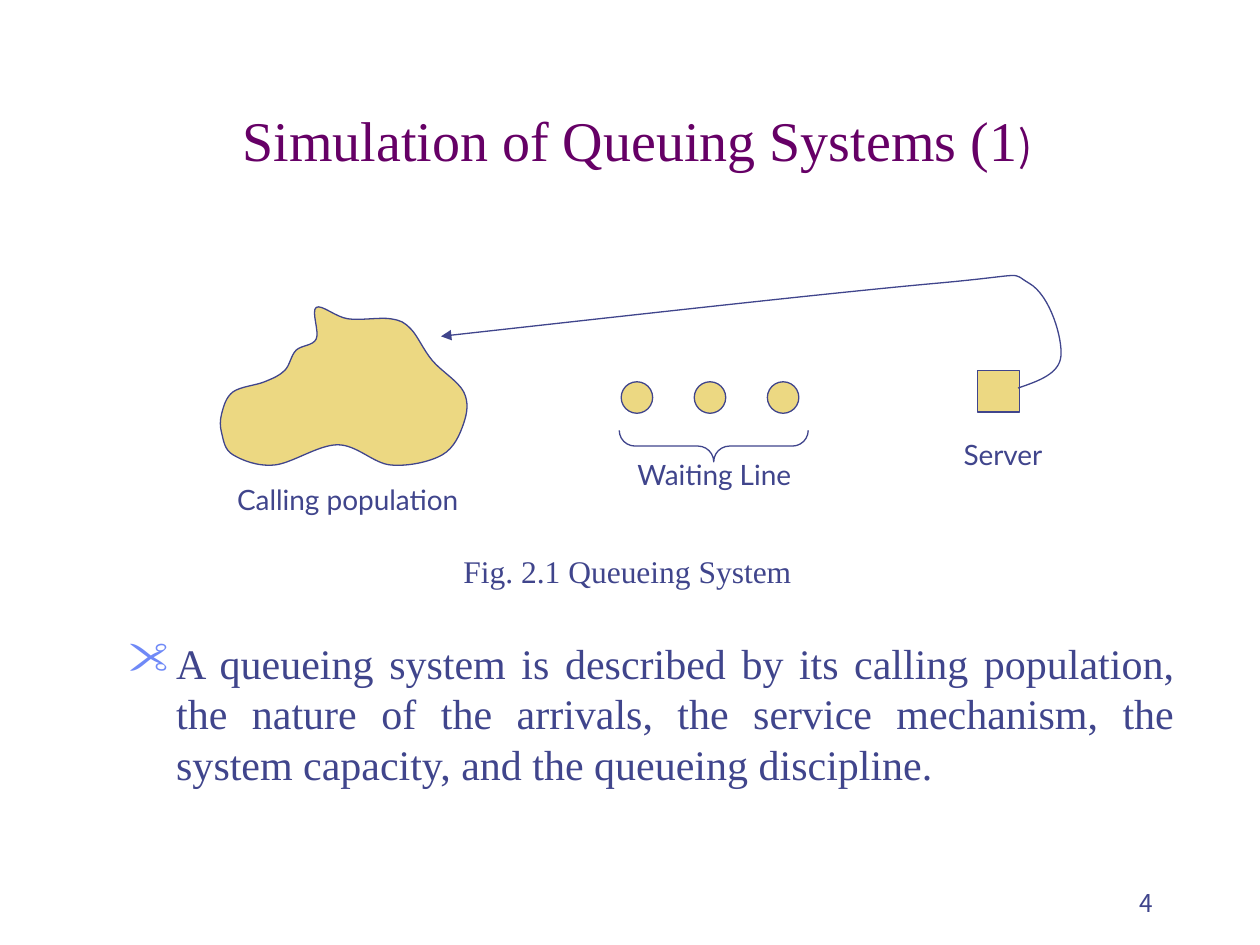
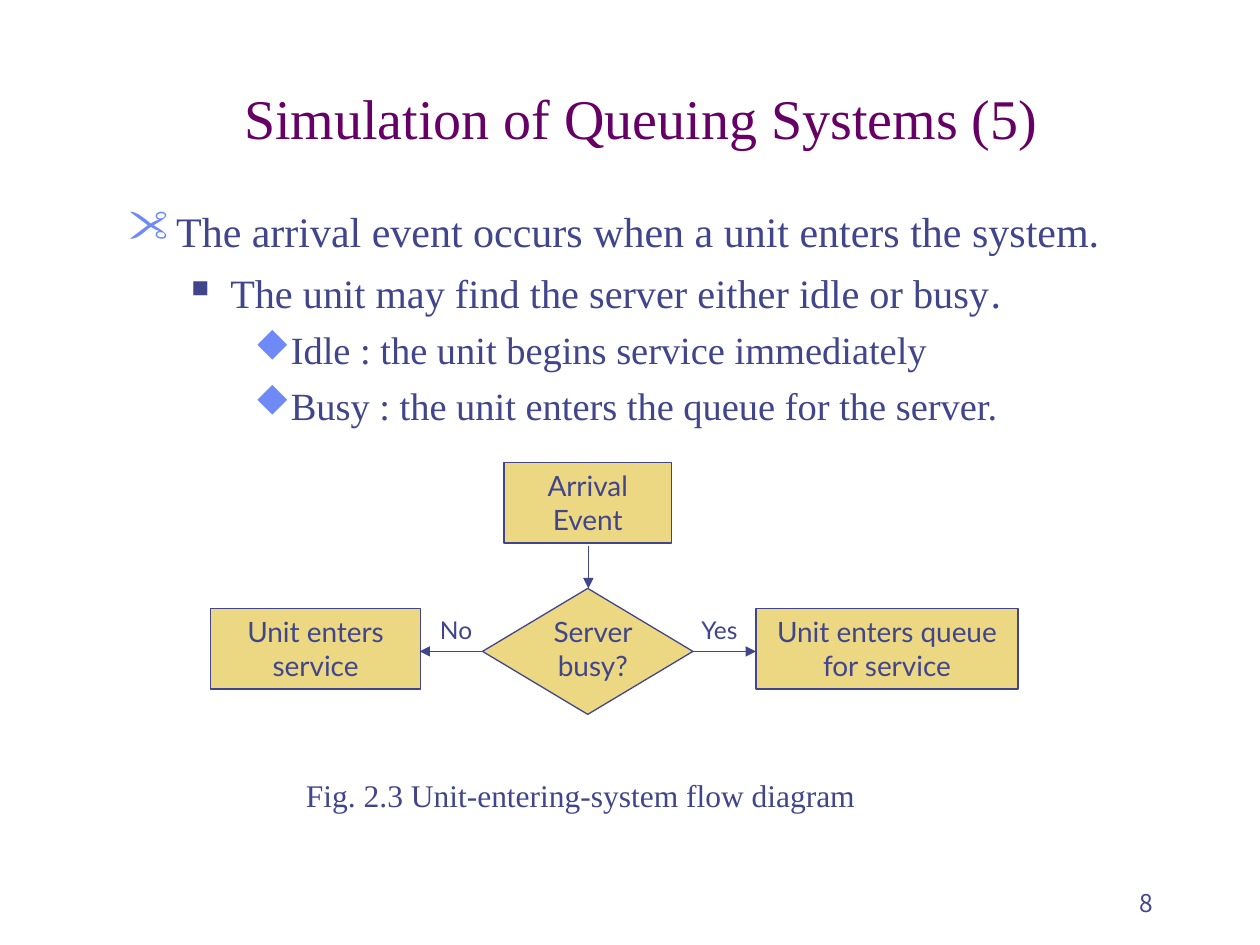
from lxml.etree import SubElement
from pptx import Presentation
from pptx.dml.color import RGBColor
from pptx.enum.shapes import MSO_CONNECTOR, MSO_SHAPE as Shape
from pptx.enum.text import MSO_ANCHOR as Anchor, MSO_AUTO_SIZE as AutoSize, PP_ALIGN as Align
from pptx.oxml.ns import qn
from pptx.util import Inches, Pt

# Shared style
INK = RGBColor(0x40, 0x45, 0x8C)
SAND = RGBColor(0xEC, 0xD8, 0x82)
PURPLE = RGBColor(0x66, 0x00, 0x66)
SKY = RGBColor(0x6F, 0x89, 0xF7)
SERIF, SANS, PLAIN = "Times New Roman", "Lato", "Noto Sans CJK KR"
TITLE_STYLE = dict(size=32, color=PURPLE, align=Align.CENTER)
LABEL_STYLE = dict(size=16, font=SANS, align=Align.CENTER)
BRANCH_STYLE = dict(LABEL_STYLE, size=14)
CAPTION_STYLE = dict(size=18)
NUMBER_STYLE = dict(size=14, font=PLAIN, align=Align.RIGHT)
NUMBER_BOX = (7.17, 6.83, 2.08, 0.5)

# level: (text size, left margin, hanging indent, space before, mark, mark colour, mark percent)
# The marks are Wingdings letters: scissors, square, diamond
MARK_FONT = "Wingdings"
LEVELS = [
    (24, 0.38, 0.38, 6, '"', SKY, 110),
    (23, 0.81, 0.31, 6, "n", INK, 60),
    (22, 1.25, 0.25, 5.5, "u", SKY, 95),
]

# Queueing system slide: runs are (text, size, font), where None keeps the paragraph's own
QUEUE_TITLE = [("Simulation of Queuing Systems (1", None, None), (")", 24, PLAIN)]
QUEUE_BODY = [(0, [("A queueing system is described by its calling population, the nature of "
                    "the arrivals, the service mechanism, the system capacity, and the "
                    "queueing discipline.", None, None)])]
POPULATION_OUTLINE = [
    (2.51, 2.69), (2.35, 2.78), (2.26, 2.94), (2.1, 3.03), (1.85, 3.11), (1.76, 3.28),
    (1.76, 3.44), (1.85, 3.61), (2.18, 3.69), (2.68, 3.53), (3.1, 3.69), (3.51, 3.61),
    (3.68, 3.36), (3.68, 3.11), (3.43, 2.86), (3.26, 2.61), (3.1, 2.53), (2.76, 2.53),
    (2.51, 2.44),
]
RETURN_PATH = [(8.08, 3.08), (8.42, 2.83), (8.17, 2.25), (7.42, 2.25), (3.5, 2.67)]
CUSTOMER_COUNT, CUSTOMER_SIZE, CUSTOMER_STEP = 3, 0.25, 0.58
QUEUE_LABELS = [
    ("Calling population", (1.76, 3.78, 2, 0.64)),
    ("Waiting Line", (4.67, 3.58, 2, 0.37)),
    ("Server", (7.5, 3.42, 0.92, 0.37)),
]

# Arrival event slide
ARRIVAL_TITLE = [("Simulation of Queuing Systems (5)", None, None)]
ARRIVAL_BODY = [
    (0, [("The arrival event occurs when a unit enters the system.", None, None)]),
    (1, [("The unit may find the server either idle or busy", None, None), (".", 24, None)]),
    (2, [("Idle : the unit begins service immediately", None, None)]),
    (2, [("Busy : the unit enters the queue for the server.", None, None)]),
]
FLOW_STEPS = [
    ("Arrival Event", (4, 3.67, 1.33, 0.64)),
    ("Unit enters queue for service", (6, 4.83, 2.08, 0.64)),
    ("Unit enters service", (1.67, 4.83, 1.67, 0.64)),
]
FLOW_ARROWS = [
    ((4.67, 4.33), (4.67, 4.67)),
    ((3.83, 5.17), (3.33, 5.17)),
    ((5.5, 5.17), (6, 5.17)),
]
BRANCH_LABELS = [("Yes", (5.42, 4.83, 0.58, 0.34)), ("No", (3.33, 4.83, 0.58, 0.34))]


def inches(values):
    return [Inches(value) for value in values]


# Text
def write_runs(paragraph, runs, size, font=SERIF, color=INK, align=Align.LEFT):
    paragraph.alignment = align
    paragraph.font.size = Pt(size)
    paragraph.font.name = font
    paragraph.font.color.rgb = color
    for text, run_size, run_font in runs:
        run = paragraph.add_run()
        run.text = text
        if run_size:
            run.font.size = Pt(run_size)
        if run_font:
            run.font.name = run_font


def prepare_frame(shape, anchor=Anchor.TOP):
    frame = shape.text_frame
    frame.word_wrap = True
    frame.auto_size = AutoSize.NONE
    frame.vertical_anchor = anchor
    return frame


def add_text(slide, text, box, style, anchor=Anchor.TOP):
    frame = prepare_frame(slide.shapes.add_textbox(*inches(box)), anchor)
    write_runs(frame.paragraphs[0], [(text, None, None)], **style)


def add_body(slide, items, box, align=Align.LEFT):
    frame = prepare_frame(slide.shapes.add_textbox(*inches(box)))
    for index, (level, runs) in enumerate(items):
        paragraph = frame.add_paragraph() if index else frame.paragraphs[0]
        size, margin, hanging, before, mark, mark_color, percent = LEVELS[level]
        properties = paragraph._p.get_or_add_pPr()
        properties.set("marL", str(Inches(margin)))
        properties.set("indent", str(-Inches(hanging)))
        color = SubElement(properties, qn("a:buClr"))
        SubElement(color, qn("a:srgbClr"), val=str(mark_color))
        SubElement(properties, qn("a:buSzPct"), val=str(percent * 1000))
        SubElement(properties, qn("a:buFont"), typeface=MARK_FONT, charset="2")
        SubElement(properties, qn("a:buChar"), char=mark)
        paragraph.level = level
        paragraph.space_before = Pt(before)
        write_runs(paragraph, runs, size, align=align)


def start_slide(presentation, title_runs, title_box, number):
    slide = presentation.slides.add_slide(presentation.slide_layouts[5])
    title = slide.shapes.title
    title.left, title.top, title.width, title.height = inches(title_box)
    frame = prepare_frame(title, Anchor.BOTTOM)
    write_runs(frame.paragraphs[0], title_runs, **TITLE_STYLE)
    add_text(slide, number, NUMBER_BOX, NUMBER_STYLE, Anchor.BOTTOM)
    return slide


# Shapes and lines
def style_line(shape, arrow=False):
    shape.line.color.rgb = INK
    shape.line.width = Pt(0.75)
    if arrow:
        SubElement(shape._element.spPr.find(qn("a:ln")), qn("a:tailEnd"), type="triangle")


def style_shape(shape, filled=True, arrow=False):
    if filled:
        shape.fill.solid()
        shape.fill.fore_color.rgb = SAND
    else:
        shape.fill.background()
    style_line(shape, arrow)
    shape.shadow.inherit = False
    return shape


def add_figure(slide, kind, box, filled=True):
    return style_shape(slide.shapes.add_shape(kind, *inches(box)), filled)


def add_arrow(slide, start, end):
    arrow = slide.shapes.add_connector(MSO_CONNECTOR.STRAIGHT, *inches(start + end))
    style_line(arrow, arrow=True)
    SubElement(arrow._element.spPr, qn("a:effectLst"))


def shift(point, before, after, factor):
    return tuple(p + (b - a) * factor for p, a, b in zip(point, before, after))


def middle(first, second):
    return tuple((a + b) / 2 for a, b in zip(first, second))


def curve_points(anchors, closed):
    """Give two control points and an end per segment, with tangents set by the neighbours."""
    count = len(anchors)
    points = []
    for index in range(count if closed else count - 1):
        start, end = anchors[index], anchors[(index + 1) % count]
        leave = shift(start, anchors[index - 1], end, 1 / 6)
        arrive = shift(end, start, anchors[(index + 2) % count], -1 / 6)
        if not closed and index == 0:
            leave = middle(start, arrive)
        if not closed and index == count - 2:
            arrive = middle(leave, end)
        points += [leave, arrive, end]
    return points


def add_curve(slide, anchors, closed):
    builder = slide.shapes.build_freeform(*inches(anchors[0]))
    builder.add_line_segments([inches(point) for point in curve_points(anchors, closed)],
                              close=closed)
    shape = builder.convert_to_shape()
    # Every three line segments become one Bezier segment
    lines = list(shape._element.iter(qn("a:lnTo")))
    for first, second, third in zip(lines[::3], lines[1::3], lines[2::3]):
        first.tag = qn("a:cubicBezTo")
        for line in (second, third):
            first.append(line[0])
            line.getparent().remove(line)
    style_shape(shape, filled=closed, arrow=not closed)


# Slides
def build_queue_slide(presentation):
    slide = start_slide(presentation, QUEUE_TITLE, (1.31, 0.75, 7.5, 0.67), "4")
    add_body(slide, QUEUE_BODY, (0.92, 5.01, 8.5, 1.57), Align.JUSTIFY)
    add_curve(slide, POPULATION_OUTLINE, closed=True)
    for index in range(CUSTOMER_COUNT):
        left = 4.93 + index * CUSTOMER_STEP
        add_figure(slide, Shape.OVAL, (left, 3.03, CUSTOMER_SIZE, CUSTOMER_SIZE))
    add_figure(slide, Shape.RECTANGLE, (7.76, 2.94, 0.33, 0.33))
    brace = add_figure(slide, Shape.LEFT_BRACE, (5.54, 2.79, 0.25, 1.5), filled=False)
    brace.adjustments[0] = 0.5
    brace.rotation = 270
    add_curve(slide, RETURN_PATH, closed=False)
    for text, box in QUEUE_LABELS:
        add_text(slide, text, box, LABEL_STYLE)
    add_text(slide, "Fig. 2.1 Queueing System", (3.58, 4.33, 3.17, 0.4), CAPTION_STYLE)


def build_arrival_slide(presentation):
    slide = start_slide(presentation, ARRIVAL_TITLE, (1.38, 0.6, 7.42, 0.65), "8")
    add_body(slide, ARRIVAL_BODY, (0.92, 1.58, 8.5, 5))
    for text, box in FLOW_STEPS:
        frame = prepare_frame(add_figure(slide, Shape.RECTANGLE, box))
        write_runs(frame.paragraphs[0], [(text, None, None)], **LABEL_STYLE)
    add_figure(slide, Shape.FLOWCHART_DECISION, (3.83, 4.67, 1.67, 1))
    add_text(slide, "Server busy?", (4.08, 4.83, 1.25, 0.64), LABEL_STYLE)
    for start, end in FLOW_ARROWS:
        add_arrow(slide, start, end)
    for text, box in BRANCH_LABELS:
        add_text(slide, text, box, BRANCH_STYLE)
    add_text(slide, "Fig. 2.3 Unit-entering-system flow diagram",
             (2.33, 6.11, 5.25, 0.4), CAPTION_STYLE)


def main():
    presentation = Presentation()
    presentation.slide_width, presentation.slide_height = Inches(10), Inches(7.5)
    build_queue_slide(presentation)
    build_arrival_slide(presentation)
    presentation.save("out.pptx")


if __name__ == "__main__":
    main()
